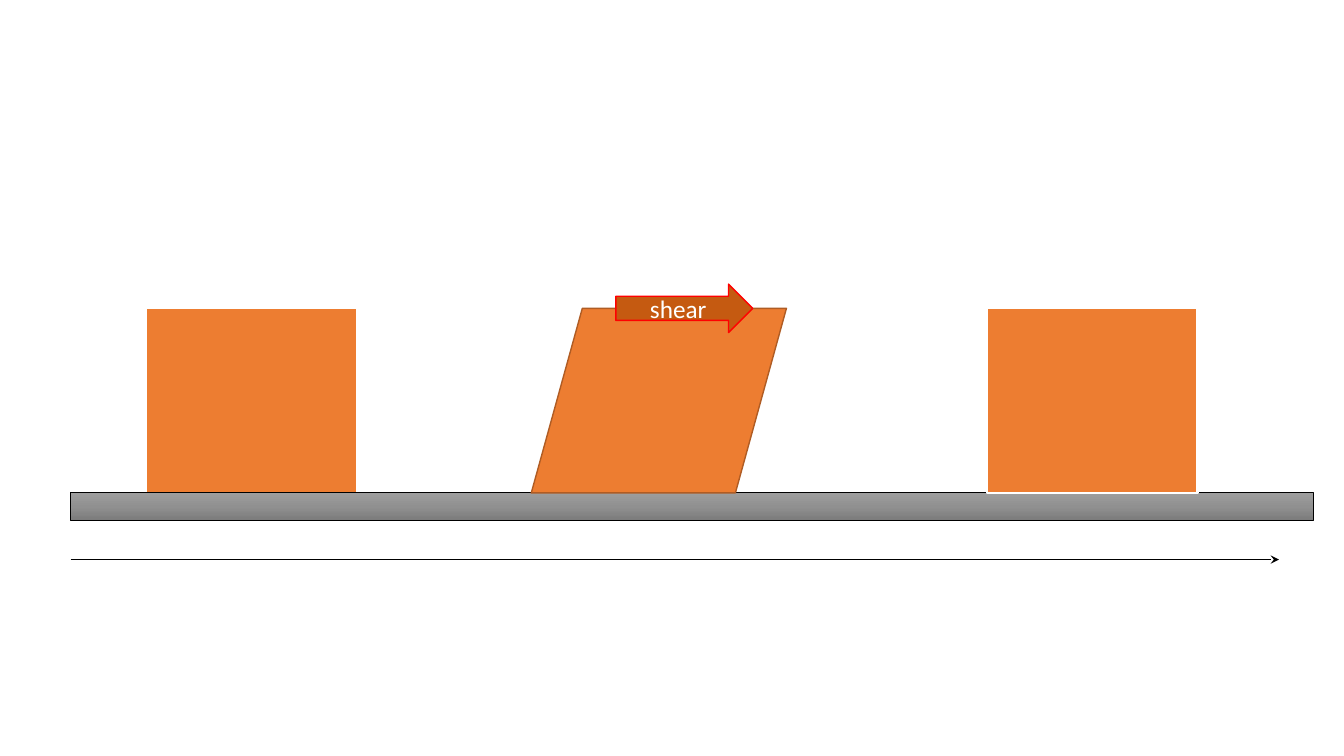
from copy import deepcopy

from lxml import etree
from pptx import Presentation
from pptx.dml.color import RGBColor
from pptx.enum.shapes import MSO_CONNECTOR, MSO_SHAPE
from pptx.enum.text import MSO_ANCHOR, PP_ALIGN
from pptx.oxml.ns import qn
from pptx.util import Cm, Pt

RECTANGLE = MSO_SHAPE.RECTANGLE
PARALLELOGRAM = MSO_SHAPE.FLOWCHART_DATA
RIGHT_ARROW = MSO_SHAPE.RIGHT_ARROW
STRAIGHT = MSO_CONNECTOR.STRAIGHT
MIDDLE = MSO_ANCHOR.MIDDLE
CENTER = PP_ALIGN.CENTER

ORANGE = "ED7D31"
WHITE = "FFFFFF"
BLACK = "000000"


def color(hex_string):
    return RGBColor.from_string(hex_string)


def add_block(kind, left, top, width, height, fill, line, line_width):
    """Add a shadowless preset shape, sized in centimetres."""
    shape = slide.shapes.add_shape(kind, Cm(left), Cm(top), Cm(width), Cm(height))
    shape.shadow.inherit = False
    shape.fill.solid()
    shape.fill.fore_color.rgb = color(fill)
    shape.line.color.rgb = color(line)
    shape.line.width = Pt(line_width)
    return shape


presentation = Presentation()
presentation.slide_width = Cm(33.87)
presentation.slide_height = Cm(19.05)
slide = presentation.slides.add_slide(presentation.slide_layouts[6])

block_top, block_height = 7.77, 4.65
ground_left, ground_top = 1.78, block_top + block_height

# Block at rest
add_block(RECTANGLE, 3.68, block_top, 5.31, block_height, ORANGE, WHITE, 1.5)

# Ground with a three-stop gradient running downwards
ground = add_block(RECTANGLE, ground_left, ground_top, 31.32, 0.69, "909090", BLACK, 0.5)
ground.fill.gradient()
ground.fill.gradient_angle = 270
first_stop = ground._element.xpath(".//a:gs")[0]
first_stop.addnext(deepcopy(first_stop))
gradient_stops = zip(ground.fill.gradient_stops, (0, 0.5, 1), ("9D9D9D", "909090", "7C7C7C"))
for stop, position, shade in gradient_stops:
    stop.position = position
    stop.color.rgb = color(shade)

# Time arrow
time_arrow = slide.shapes.add_connector(STRAIGHT, Cm(ground_left), Cm(14.1), Cm(32.23), Cm(14.1))
time_arrow.line.color.rgb = color(BLACK)
time_arrow.line.width = Pt(0.5)
etree.SubElement(time_arrow.line._get_or_add_ln(), qn("a:tailEnd"), type="stealth")
etree.SubElement(time_arrow._element.spPr, qn("a:effectLst"))

# Recovered block, then the sheared block
add_block(RECTANGLE, 24.87, block_top, 5.31, block_height, ORANGE, WHITE, 1.5)
add_block(PARALLELOGRAM, 13.39, block_top, 6.43, block_height, ORANGE, "AF5C24", 1)

# Shear force
shear_arrow = add_block(RIGHT_ARROW, 15.52, 7.16, 3.45, 1.22, "C55A11", "FF0000", 1)
text_frame = shear_arrow.text_frame
text_frame.vertical_anchor = MIDDLE
paragraph = text_frame.paragraphs[0]
paragraph.text = "shear"
paragraph.alignment = CENTER
paragraph.font.name = "Calibri"
paragraph.font.size = Pt(18)
paragraph.font.color.rgb = color(WHITE)

presentation.save("out.pptx")
